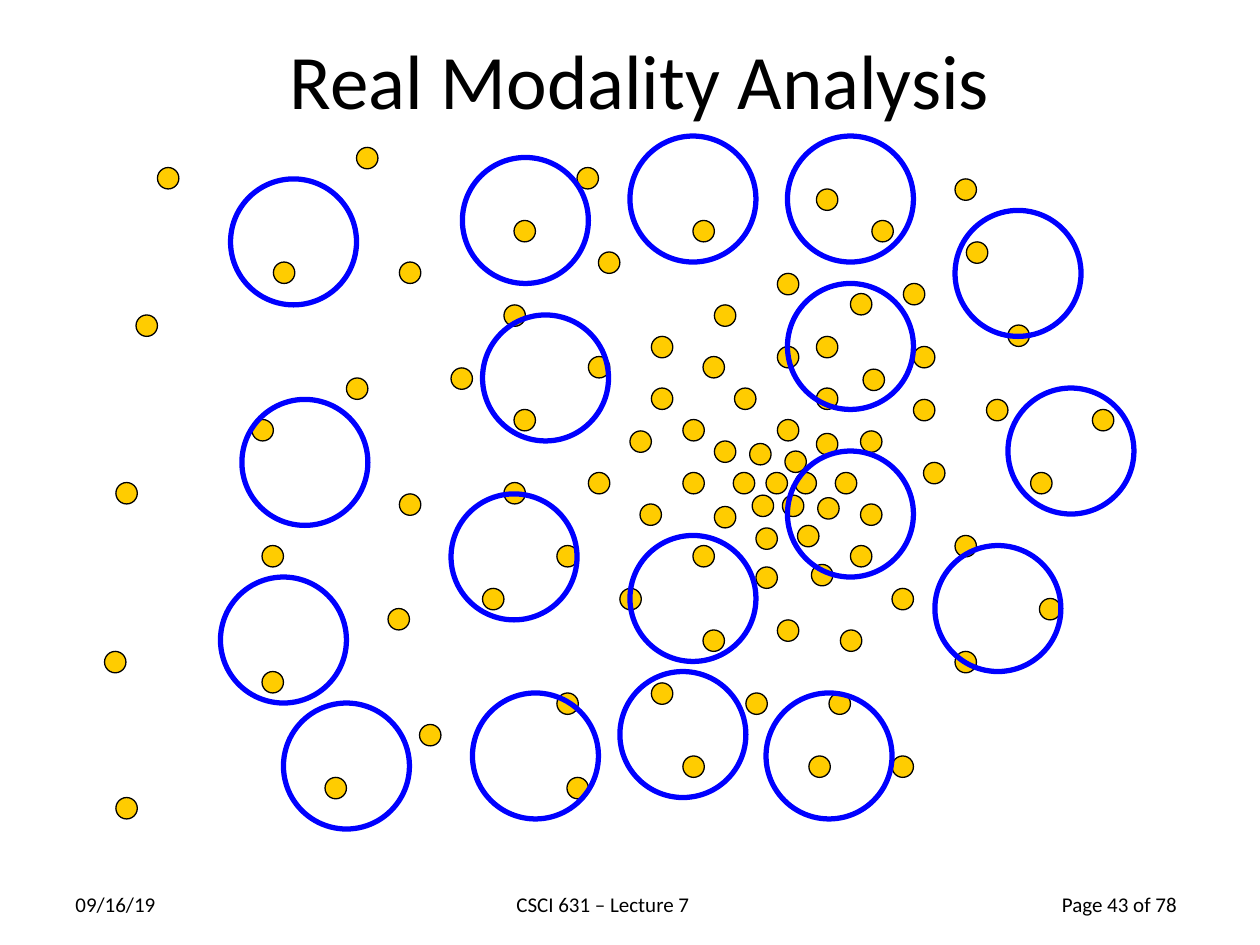
from pptx import Presentation
from pptx.dml.color import RGBColor
from pptx.enum.shapes import MSO_SHAPE
from pptx.enum.text import MSO_ANCHOR, PP_ALIGN
from pptx.util import Inches, Pt

DOT_SIZE = 0.17
WINDOW_SIZE = 1

# Left and top of each data point, in inches
DATA_POINTS = [
    # Dense cluster around the mode
    (6.08, 3.75), (6.31, 3.75), (6.23, 3.58), (5.95, 3.52), (6.21, 3.93),
    (5.97, 3.93), (6.49, 3.95), (5.82, 3.75), (6.63, 3.75), (6.48, 3.44),
    (6.17, 3.33), (6.33, 4.17), (6, 4.19), (5.67, 4.02), (5.42, 3.75),
    (5.67, 3.5), (6.83, 4), (6.75, 4.33), (6.44, 4.48), (6, 4.5),
    # Ring around the cluster
    (5.5, 4.33), (5.08, 4), (5, 3.42), (5.42, 3.33), (5.83, 3.08),
    (6.48, 3.08), (6.17, 2.75), (5.17, 3.08), (5.58, 2.83), (6.17, 2.17),
    (5.67, 2.42), (6.48, 2.67), (6.48, 1.5), (6.75, 2.33), (6.85, 2.93),
    (6.83, 3.42), (7.25, 3.17), (7.25, 2.75), (7.17, 2.25), (6.92, 1.75),
    # Right side
    (7.58, 1.42), (7.67, 1.92), (8, 2.58), (7.33, 3.67), (7.83, 3.17),
    (8.67, 3.25), (7.58, 4.25), (8.18, 3.75), (7.08, 4.67), (8.25, 4.75),
    (7.58, 5.17), (6.67, 5), (6.17, 4.92), (6.58, 5.5), (7.08, 6),
    # Bottom and centre
    (6.42, 6), (5.92, 5.5), (5.58, 5), (4.92, 4.67), (5.17, 5.42),
    (5.42, 6), (4.5, 6.17), (4.42, 5.5), (3.83, 4.67), (4.42, 4.33),
    (4.67, 3.75), (4.08, 3.25), (4.67, 2.83), (5.17, 2.67), (4.75, 2),
    (5.5, 1.75), (4.58, 1.33), (4.08, 1.75), (4, 2.42), (3.58, 2.92),
    # Sparse left side
    (4, 3.83), (3.17, 3.92), (3.08, 4.83), (3.33, 5.75), (2.58, 6.17),
    (2.08, 5.33), (2.08, 4.33), (2.75, 3), (3.17, 2.08), (2.17, 2.08),
    (2, 3.33), (0.83, 5.17), (0.92, 6.33), (0.92, 3.83), (1.08, 2.5),
    (1.25, 1.33), (2.83, 1.17),
]

# Left and top of each search window, in inches
SEARCH_WINDOWS = [
    (2.25, 5.58), (1.75, 4.58), (1.92, 3.17), (1.83, 1.42), (3.67, 1.25),
    (3.75, 5.5), (4.92, 5.33), (6.08, 5.5), (7.42, 4.33), (8, 3.08),
    (7.58, 1.67), (6.25, 1.08), (5, 1.08), (3.58, 3.92), (3.83, 2.5),
    (6.25, 2.25), (6.25, 3.58), (5, 4.25),
]

FOOTERS = [
    ("Page 43 of 78", 8.33, 1.17),
    ("CSCI 631 – Lecture 7", 4, 1.58),
    ("09/16/19", 0.5, 0.92),
]


def color(hex_code):
    return RGBColor.from_string(hex_code)


class SlideBuilder:
    font = "Calibri"
    ink = "000000"
    dot_fill = "FFCC00"
    window_line = "0000FF"

    def __init__(self, slide):
        self.slide = slide

    def text(self, words, left, top, width, height, size,
             align=PP_ALIGN.LEFT, anchor=MSO_ANCHOR.TOP, wrap=False):
        box = self.slide.shapes.add_textbox(
            Inches(left), Inches(top), Inches(width), Inches(height))
        frame = box.text_frame
        frame.text = words
        frame.word_wrap = wrap
        frame.vertical_anchor = anchor
        paragraph = frame.paragraphs[0]
        paragraph.alignment = align
        font = paragraph.runs[0].font
        font.name = self.font
        font.size = Pt(size)
        font.color.rgb = color(self.ink)

    def circle(self, left, top, diameter, line, line_width, fill=None):
        circle = self.slide.shapes.add_shape(
            MSO_SHAPE.OVAL, Inches(left), Inches(top),
            Inches(diameter), Inches(diameter))
        circle.shadow.inherit = False
        if fill:
            circle.fill.solid()
            circle.fill.fore_color.rgb = color(fill)
        else:
            circle.fill.background()
        circle.line.color.rgb = color(line)
        circle.line.width = Pt(line_width)

    def data_point(self, left, top):
        self.circle(left, top, DOT_SIZE, self.ink, 0.75, self.dot_fill)

    def search_window(self, left, top):
        self.circle(left, top, WINDOW_SIZE, self.window_line, 3)


def main():
    presentation = Presentation()
    presentation.slide_width = Inches(10)
    presentation.slide_height = Inches(7.5)
    builder = SlideBuilder(
        presentation.slides.add_slide(presentation.slide_layouts[6]))

    # Footer
    for words, left, width in FOOTERS:
        builder.text(words, left, 7.03, width, 0.3, 12)

    # Data points, with the search windows over them
    for left, top in DATA_POINTS:
        builder.data_point(left, top)
    for left, top in SEARCH_WINDOWS:
        builder.search_window(left, top)

    # Title
    builder.text("Real Modality Analysis", 0.58, 0, 9, 1.25, 44,
                 PP_ALIGN.CENTER, MSO_ANCHOR.MIDDLE, wrap=True)

    presentation.save("out.pptx")


if __name__ == "__main__":
    main()
